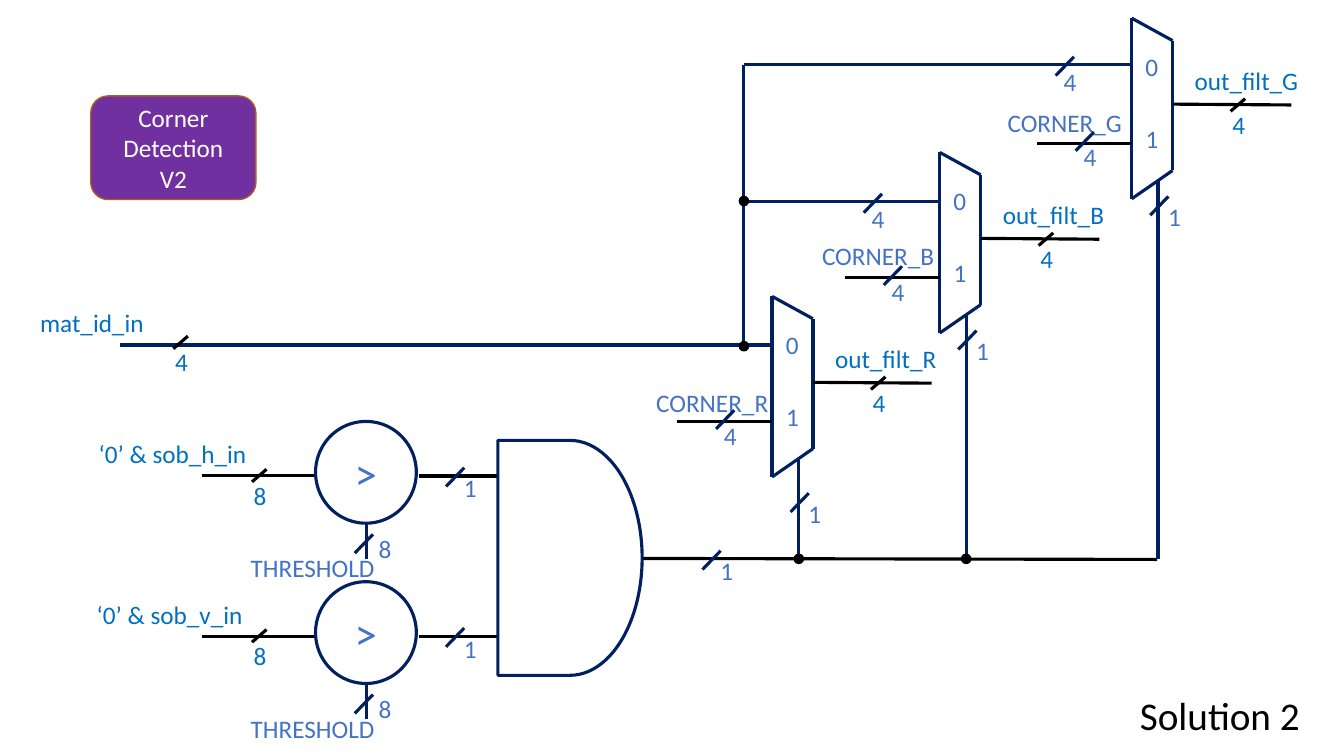
"""Build the Corner Detection V2 circuit slide."""
from pptx import Presentation
from pptx.util import Pt
from pptx.dml.color import RGBColor as RGB
from pptx.enum.shapes import MSO_SHAPE as SHAPE, MSO_CONNECTOR as LINE
from pptx.enum.text import PP_ALIGN as ALIGN, MSO_ANCHOR as ANCHOR, MSO_AUTO_SIZE as AUTO
from lxml.etree import SubElement
from pptx.oxml.ns import qn

HUE = {"navy": "002060", "black": "000000", "white": "FFFFFF", "blue": "4472C4",
       "port": "0070C0", "violet": "7030A0", "rust": "AF5C24"}

deck = Presentation()
deck.slide_width, deck.slide_height = Pt(960), Pt(540)
slide = deck.slides.add_slide(deck.slide_layouts[5])
shapes = slide.shapes


def wire(x1, y1, x2, y2, hue="navy"):
    line = shapes.add_connector(LINE.STRAIGHT, Pt(x1), Pt(y1), Pt(x2), Pt(y2))
    line.line.color.rgb = RGB.from_string(HUE[hue])
    line.line.width = Pt(2.25)
    SubElement(line._element.spPr, qn("a:effectLst"))


def note(text, x, y, wide, hue="blue", align=ALIGN.CENTER):
    box = shapes.add_textbox(Pt(x), Pt(y), Pt(wide), Pt(29))
    frame = box.text_frame
    frame.word_wrap = True
    frame.auto_size = AUTO.SHAPE_TO_FIT_TEXT
    frame.text = text
    par = frame.paragraphs[0]
    par.alignment = align
    par.font.size, par.font.name = Pt(18), "Calibri"
    par.font.color.rgb = RGB.from_string(HUE[hue])


title = shapes.title
title.left, title.top, title.width, title.height = Pt(807), Pt(490.5), Pt(130.5), Pt(41)
frame = title.text_frame
frame.text = "Solution 2"
frame.word_wrap = False
frame.auto_size = AUTO.SHAPE_TO_FIT_TEXT
frame.vertical_anchor = ANCHOR.TOP
par = frame.paragraphs[0]
par.alignment = ALIGN.LEFT
par.font.size, par.font.name = Pt(28), "Calibri"
par.font.color.rgb = RGB.from_string(HUE["black"])

rows = [301, 415.5]
bus, trunk, feed = 399.2, 531.4, 246.4
muxes = [("R", 551.5, 211.7, 456.5, 273, 104.5, 246.4),
         ("B", 671.3, 108.9, 576.7, 167.8, 101, 144),
         ("G", 808.4, 13, 710, 73.4, 101, 46.1)]

blocks = [(SHAPE.ROUNDED_RECTANGLE, 64.8, 68.5, 118, 74, "violet", "rust", 1,
           "Corner Detection\nV2", 18, "white"),
          (SHAPE.FLOWCHART_DELAY, 355.7, 314.6, 103, 167.8, "white", "navy", 2.25,
           "", 18, "blue")]
blocks += [(SHAPE.OVAL, 225.4, top, 72, 72.7, "white", "navy", 2.25, ">", 32, "blue")
           for top in rows]
dots = [(570.6, bus), (690.1, bus), (trunk, 247.3), (trunk, 143.6)]

slim = [("1", 501.8, 406.8, 0, -13.5)]
bold = [("4", 123.8, 249.1)]

note("mat_id_in", 21.6, 216, 128, "port", ALIGN.LEFT)
wire(86, feed, 551.5, feed)
wire(trunk, feed, trunk, 46.1)
wire(459.4, 398.9, 826.6, 399.6, "black")

for name, x, y, left, top, wide, zero in muxes:
    right = x + 29.2
    corners = [(x, y), (right, y + 16), (right, y + 108.8), (x, y + 129)]
    for start, end in zip(corners, corners[1:] + corners[:1]):
        wire(*start, *end)
    note("0", x + 1.3, y + 20, 26)
    note("1", x, y + 71.5, 29)
    wire(x + 18.8, bus, x + 18.8, y + 116.4)
    slim.append(("1", x + 13.2, y + (154 if name == "R" else 140.7), 0, -13.5))
    wire(x - 67.7, y + 89.6, x, y + 89.6, "black")
    note("CORNER_" + name, left, top, wide)
    slim.append(("4", x - 40, y + 94.7, -7.2, -10))
    wire(right, y + 61.4, x + 114, y + 62, "black")
    bold.append(("4", x + 70.6, y + 66.5))
    note("out_filt_" + name, x + 37.9, y + 30.2, 91, "port", ALIGN.LEFT)
    if name != "R":
        wire(trunk, zero, x, zero)
        slim.append(("4", x - 54.3, zero + 7.9, -7.2, -10))

for axis, left, top in zip("hv", [63.4, 62], rows):
    note(f"‘0’ & sob_{axis}_in", left, top + 8.8, 129, "port", ALIGN.LEFT)
    wire(144, top + 38.9, 224.6, top + 38.9, "black")
    wire(299, top + 39, 355, top + 39, "black")
    wire(261.7, top + 72.7, 261.7, top + 98.3)
    note("THRESHOLD", 171.4, top + 90.2, 103.7)
    bold.append(("8", 180, top + 43.2))
    slim.append(("1", 318.6, top + 46.5, 0, -13.5))
    slim.append(("8", 253.4, top + 94.1, 4.3, -18))

for text, x, y, dx, dy in slim:
    wire(x, y, x + 13, y - 13.4)
    note(text, x + dx, y + dy, 34.6)
for text, x, y in bold:
    wire(x, y, x + 10.4, y - 9, "black")
    note(text, x - 5.8, y - 5, 18.7, "port", ALIGN.LEFT)

blocks += [(SHAPE.OVAL, x - 3.3, y - 3.3, 6.6, 6.6, "black", "black", 1, "", 18, "white")
           for x, y in dots]
for kind, x, y, wide, high, fill, edge, thick, text, size, ink in blocks:
    block = shapes.add_shape(kind, Pt(x), Pt(y), Pt(wide), Pt(high))
    block.shadow.inherit = False
    block.fill.solid()
    block.fill.fore_color.rgb = RGB.from_string(HUE[fill])
    block.line.color.rgb = RGB.from_string(HUE[edge])
    block.line.width = Pt(thick)
    if text:
        block.text_frame.text = text
        block.text_frame.vertical_anchor = ANCHOR.MIDDLE
        for par in block.text_frame.paragraphs:
            par.alignment = ALIGN.CENTER
            par.font.size, par.font.name = Pt(size), "Calibri"
            par.font.color.rgb = RGB.from_string(HUE[ink])

deck.save("out.pptx")
